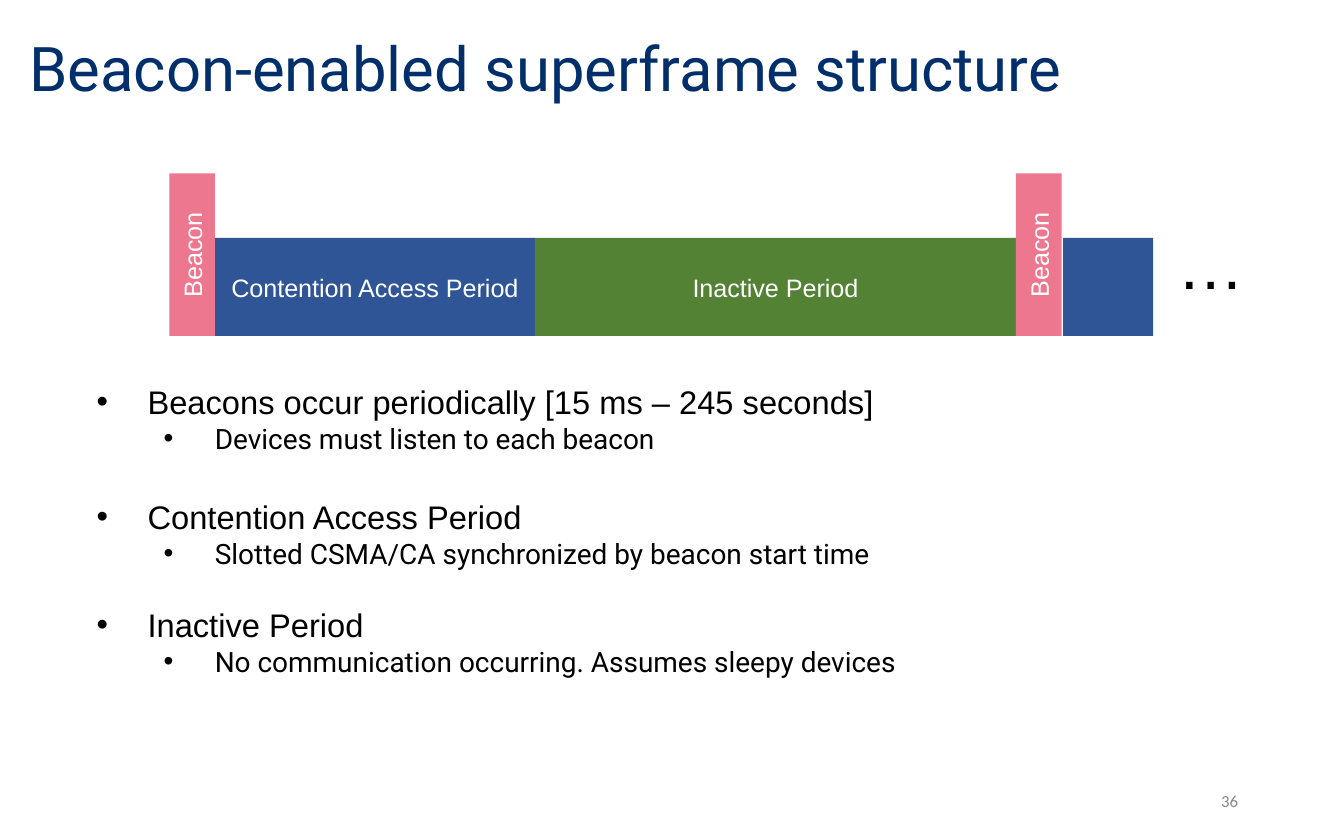
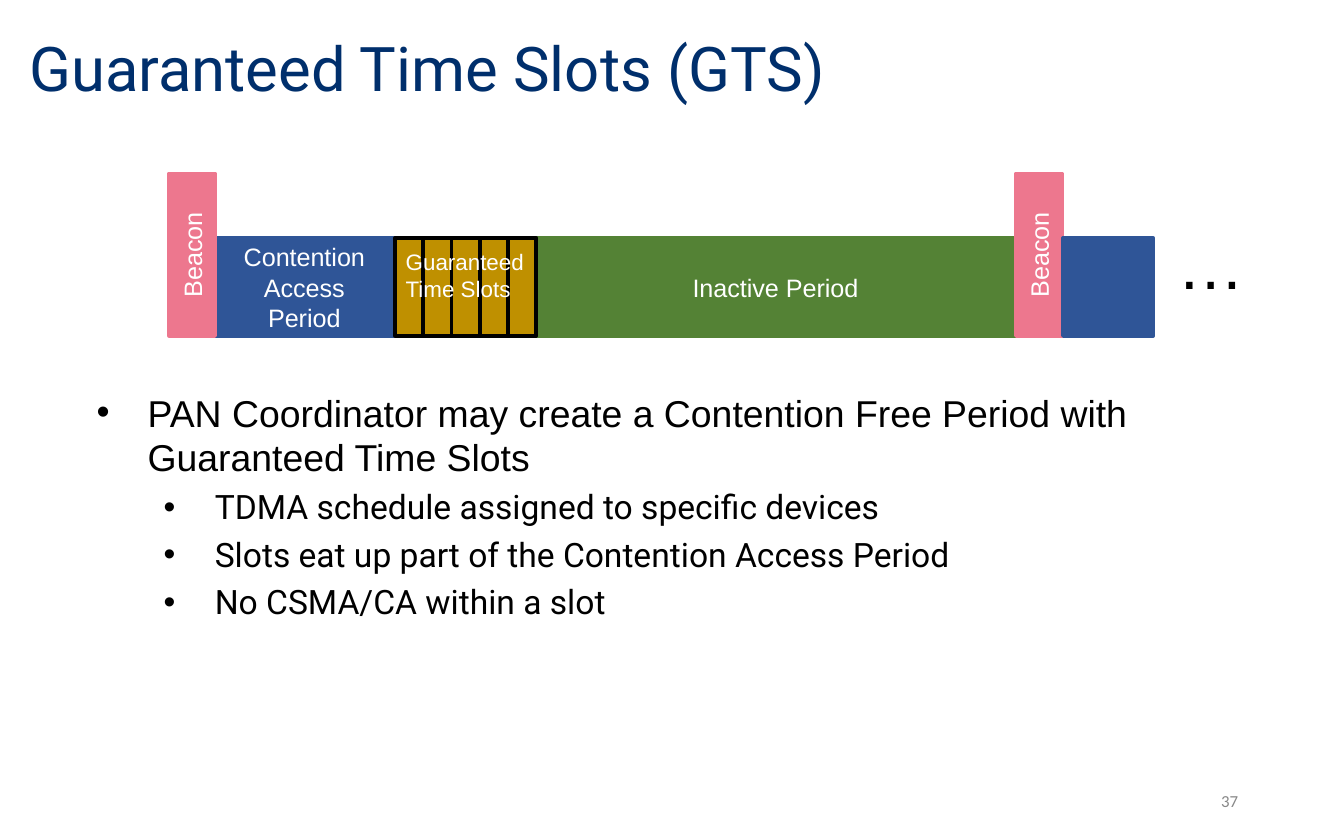
from lxml import etree
from pptx import Presentation
from pptx.dml.color import RGBColor
from pptx.enum import shapes, text
from pptx.oxml import ns
from pptx.util import Inches, Pt

HUES = {"title": "002F6C", "ink": "000000", "white": "FFFFFF", "page": "888888",
        "access": "2F5597", "beacon": "ED778E", "idle": "548235", "slot": "BF9000"}
LEFT, MID, RIGHT = text.PP_ALIGN.LEFT, text.PP_ALIGN.CENTER, text.PP_ALIGN.RIGHT
TOP, TALL = 1.77, 0.73


def write(par, words, size, hue, font="Arial", align=LEFT):
    par.alignment = align
    run = par.add_run()
    run.text = words
    run.font.size = Pt(size)
    run.font.name = font
    run.font.color.rgb = RGBColor.from_string(HUES[hue])


def label(slide, place, anchor=text.MSO_ANCHOR.MIDDLE, grow=False):
    frame = slide.shapes.add_textbox(*map(Inches, place)).text_frame
    frame.word_wrap = True
    frame.vertical_anchor = anchor
    if grow:
        frame.auto_size = text.MSO_AUTO_SIZE.SHAPE_TO_FIT_TEXT
    return frame


pages = [
    {"title": "Beacon-enabled superframe structure", "page": "36", "access": 2.38,
     "slots": 0, "edge": 0, "sizes": (17.5, 15), "lines": 0.8,
     "items": [(0, "Beacons occur periodically [15 ms – 245 seconds]", 0),
               (1, "Devices must listen to each beacon", 3.8),
               (0, "Contention Access Period", 26.5),
               (1, "Slotted CSMA/CA synchronized by beacon start time", 3.8),
               (0, "Inactive Period", 22.7),
               (1, "No communication occurring. Assumes sleepy devices", 3.8)]},
    {"title": "Guaranteed Time Slots (GTS)", "page": "37", "access": 1.33,
     "slots": 5, "edge": 2, "sizes": (20, 18), "lines": 1.0,
     "items": [(0, "PAN Coordinator may create a Contention Free Period with "
                   "Guaranteed Time Slots", 0),
               (1, "TDMA schedule assigned to specific devices", 3.8),
               (1, "Slots eat up part of the Contention Access Period", 3.8),
               (1, "No CSMA/CA within a slot", 3.8)]},
]

deck = Presentation()
deck.slide_width, deck.slide_height = Inches(10), Inches(6.25)

for page in pages:
    slide = deck.slides.add_slide(deck.slide_layouts[6])

    par = label(slide, (0.12, 0.1, 8.52, 0.86)).paragraphs[0]
    par.line_spacing = 0.9
    write(par, page["title"], 33, "title", "Roboto")

    body = label(slide, (0.5, 2.85, 9, 2.52), text.MSO_ANCHOR.TOP)
    for i, (level, words, gap) in enumerate(page["items"]):
        par = body.add_paragraph() if i else body.paragraphs[0]
        par.level = level
        par.line_spacing = page["lines"]
        par.space_before = Pt(gap)
        props = par._p.get_or_add_pPr()
        props.set("marL", str(Inches(0.5 + 0.5 * level)))
        props.set("indent", str(Inches(-0.38)))
        tint = etree.SubElement(props, ns.qn("a:buClr"))
        etree.SubElement(tint, ns.qn("a:srgbClr"), val=HUES["ink"])
        etree.SubElement(props, ns.qn("a:buFont"), typeface="Arial")
        etree.SubElement(props, ns.qn("a:buChar"), char="•")
        write(par, words, page["sizes"][level], "ink", ("Arial", "Roboto")[level])

    write(label(slide, (7.06, 5.79, 2.25, 0.33)).paragraphs[0],
          page["page"], 9, "page", "Calibri", RIGHT)

    blocks = [("access", 1.6, page["access"], "Contention Access Period"),
              ("beacon", 1.26, 0.34, "Beacon"),
              ("idle", 3.98, 3.58, "Inactive Period"),
              ("beacon", 7.56, 0.34, "Beacon"),
              ("access", 7.91, 0.67, "")]
    blocks += [("slot", 2.94 + 0.21 * i, 0.21, "") for i in range(page["slots"])]
    for kind, left, wide, words in blocks:
        rise = 0.48 if kind == "beacon" else 0
        box = slide.shapes.add_shape(
            shapes.MSO_SHAPE.RECTANGLE, Inches(left), Inches(TOP - rise),
            Inches(wide), Inches(TALL + rise))
        box.shadow.inherit = False
        box.fill.solid()
        box.fill.fore_color.rgb = RGBColor.from_string(HUES[kind])
        if page["edge"]:
            edge = "ink" if kind == "slot" else kind
            box.line.color.rgb = RGBColor.from_string(HUES[edge])
            box.line.width = Pt(page["edge"])
        else:
            box.line.fill.background()
        if words:
            frame = box.text_frame
            frame.word_wrap = True
            frame.vertical_anchor = text.MSO_ANCHOR.MIDDLE
            if kind == "beacon":
                frame._txBody.bodyPr.set("vert", "vert270")
            write(frame.paragraphs[0], words, 13.5, "white", align=MID)

    if page["slots"]:
        note = label(slide, (2.92, 1.8, 1.12, 0.5), text.MSO_ANCHOR.TOP, True)
        write(note.paragraphs[0], "Guaranteed Time Slots", 12, "white")
    more = label(slide, (8.66, 1.6, 0.77, 0.71), grow=True)
    write(more.paragraphs[0], "…", 36, "ink")

deck.save("out.pptx")
